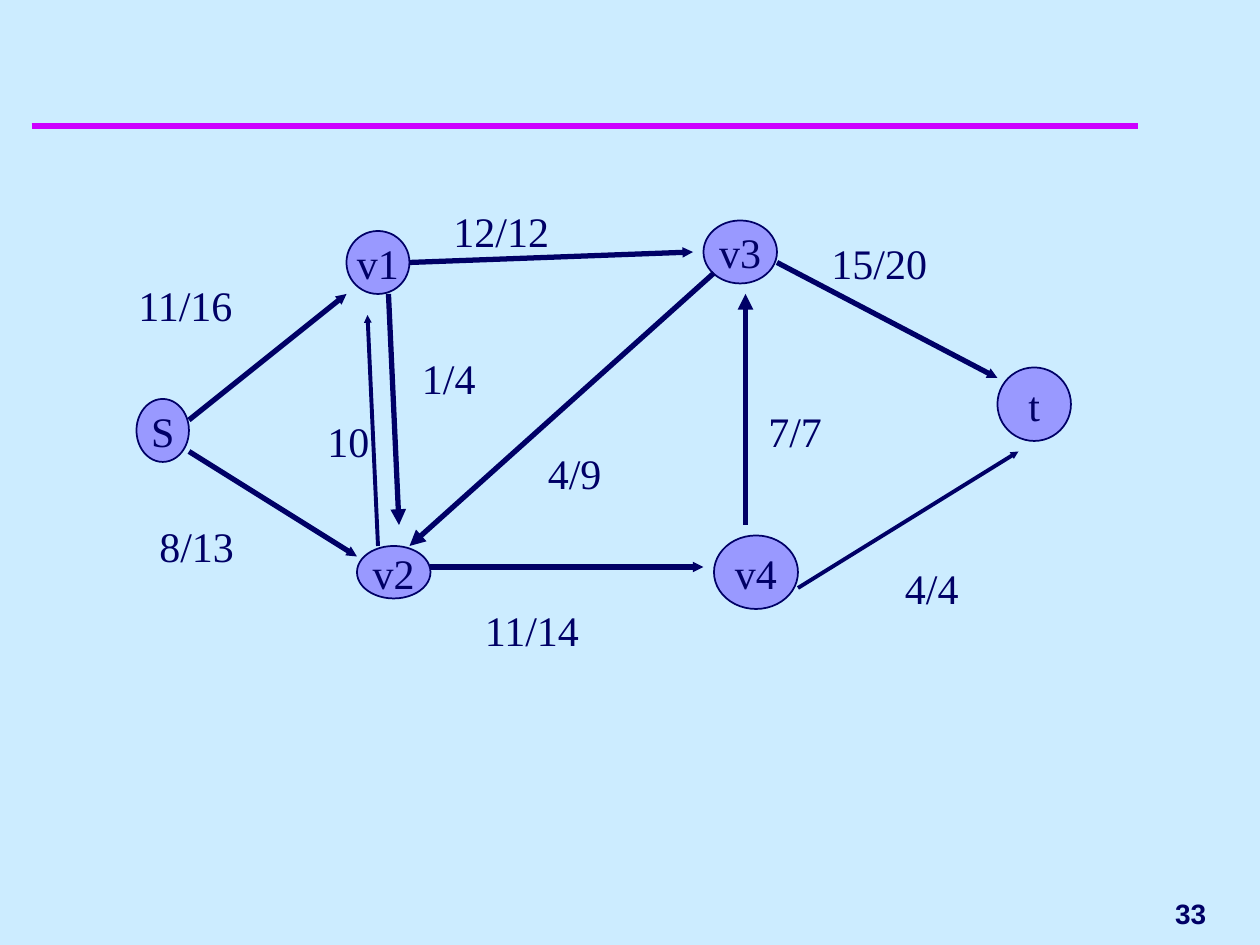
from dataclasses import dataclass
from pptx import Presentation
from pptx.dml.color import RGBColor as RGB
from pptx.enum.shapes import MSO_CONNECTOR as Link, MSO_SHAPE as Shape
from pptx.enum.text import MSO_ANCHOR as Anchor, PP_ALIGN as Align
from pptx.oxml.ns import qn
from pptx.util import Inches, Pt
from lxml.etree import SubElement as Sub


@dataclass(frozen=True)
class Theme:
    """Colours, fonts and sizes of the slide."""
    back: RGB = RGB(0xCC, 0xEC, 0xFF)
    rule: RGB = RGB(0xCC, 0x00, 0xFF)
    node: RGB = RGB(0x99, 0x99, 0xFF)
    ink: RGB = RGB(0x00, 0x00, 0x66)
    serif: str = "Times New Roman"
    sans: str = "Arial"
    body: int = 24
    small: int = 16


THEME = Theme()

NODES = [
    ("S", 1, 20, 5, 6), ("v1", 21, 4, 6, 6), ("v2", 22, 34, 7, 5),
    ("v3", 55, 3, 7, 6), ("v4", 56, 33, 8, 7), ("t", 83, 17, 7, 7),
]
EDGES = [
    (6, 22, 21, 10, 3, "sm"), (6, 25, 22, 35, 3, "sm"),
    (27, 7, 54, 6, 3, "sm"), (29, 36, 55, 36, 3, "sm"),
    (62, 7, 83, 18, 3, "sm"), (64, 38, 85, 25, 2.25, "sm"),
    (59, 32, 59, 10, 3, "med"), (56, 8, 27, 34, 3, "med"),
    (24, 34, 23, 12, 2.25, "sm"), (25, 10, 26, 32, 3, "med"),
]
FLOWS = [
    ("8/13", 2, 31, 13), ("11/16", 0, 8, 15), ("12/12", 30, 1, 24),
    ("11/14", 33, 39, 17), ("4/4", 73, 35, 16), ("15/20", 66, 4, 19),
    ("7/7", 60, 20, 11), ("1/4", 27, 15, 10), ("10", 18, 21, 7),
    ("4/9", 39, 24, 12),
]


def write(frame, text, align=Align.LEFT, font=THEME.serif, size=THEME.body, bold=False):
    """Write one styled run into a text frame."""
    para = frame.paragraphs[0]
    para.alignment = align
    run = para.add_run()
    run.text = text
    run.font.name, run.font.size, run.font.bold = font, Pt(size), bold
    run.font.color.rgb = THEME.ink


def stroke(shapes, x1, y1, x2, y2, color, width, head=None):
    """Draw a straight line, with an arrowhead of the given size if any."""
    line = shapes.add_connector(Link.STRAIGHT, x1, y1, x2, y2)
    line.line.color.rgb = color
    line.line.width = Pt(width)
    if head:
        Sub(line.line._get_or_add_ln(), qn("a:tailEnd"), type="triangle", w=head, len=head)
    Sub(line._element.spPr, qn("a:effectLst"))


def graph(shapes, left, top, unit):
    """Draw the flow network on a grid of the given unit."""
    def col(n):
        return left + round(n * unit)

    def row(n):
        return top + round(n * unit)

    for name, x, y, w, h in NODES:
        oval = shapes.add_shape(Shape.OVAL, col(x), row(y), round(w * unit), round(h * unit))
        oval.shadow.inherit = False
        oval.fill.solid()
        oval.fill.fore_color.rgb = THEME.node
        oval.line.color.rgb = THEME.ink
        oval.line.width = Pt(1)
        oval.text_frame.word_wrap = False
        oval.text_frame.vertical_anchor = Anchor.MIDDLE
        write(oval.text_frame, name, Align.CENTER)
    for x1, y1, x2, y2, width, head in EDGES:
        stroke(shapes, col(x1), row(y1), col(x2), row(y2), THEME.ink, width, head)
    for text, x, y, w in FLOWS:
        box = shapes.add_textbox(col(x), row(y), round(w * unit), round(6 * unit))
        box.text_frame.word_wrap = True
        write(box.text_frame, text)


def header(shapes, left, top, width):
    """Draw the rule under the title area."""
    stroke(shapes, left, top, left + width, top, THEME.rule, 4)


def footer(shapes, left, top, width, height):
    """Place the slide number at the right of its box."""
    frame = shapes.add_textbox(left, top, width, height).text_frame
    frame.word_wrap = True
    frame.vertical_anchor = Anchor.MIDDLE
    write(frame, "33", Align.RIGHT, THEME.sans, THEME.small, True)


def main():
    """Build the slide and save it."""
    deck = Presentation()
    deck.slide_width, deck.slide_height = Inches(10), Inches(7.5)
    slide = deck.slides.add_slide(deck.slide_layouts[6])
    slide.background.fill.solid()
    slide.background.fill.fore_color.rgb = THEME.back
    header(slide.shapes, Inches(0.25), Inches(1), Inches(8.78))
    graph(slide.shapes, Inches(1), Inches(1.5), Inches(1 / 12))
    footer(slide.shapes, Inches(7.75), Inches(7), Inches(1.92), Inches(0.5))
    deck.save("out.pptx")


if __name__ == "__main__":
    main()
